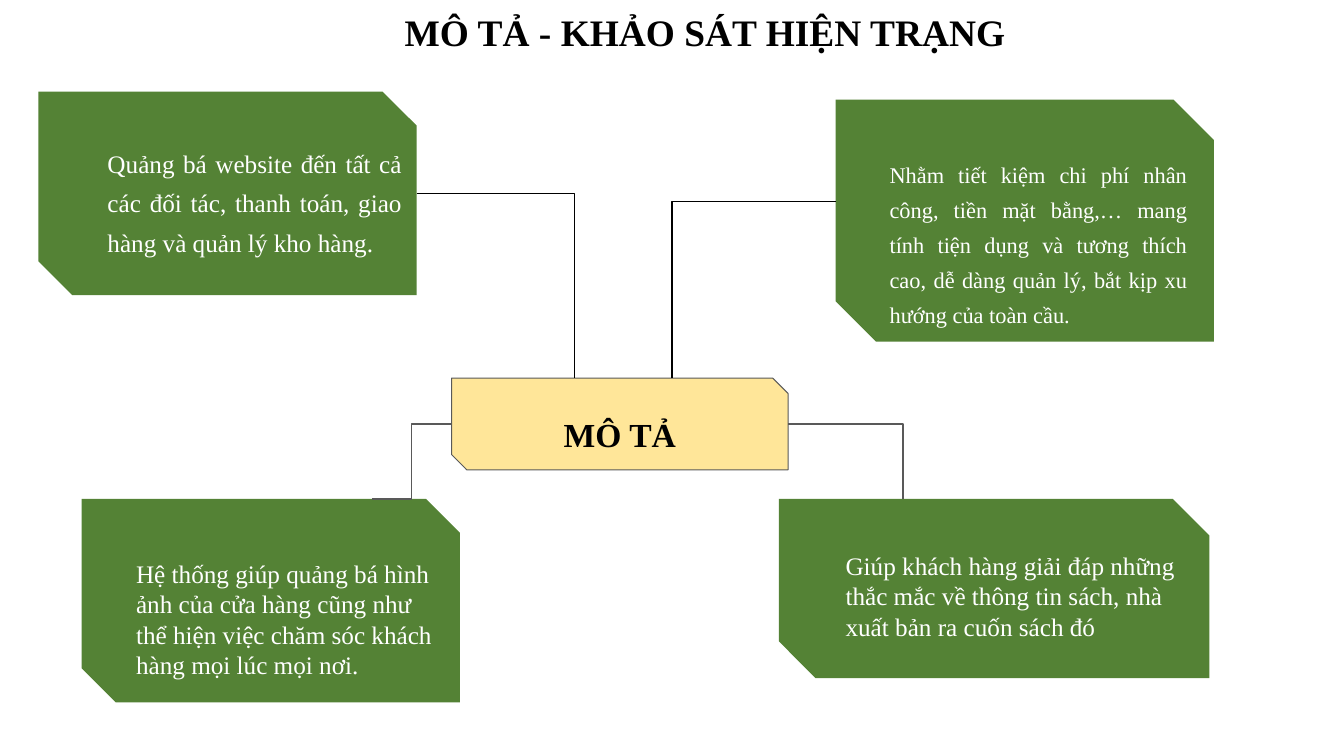
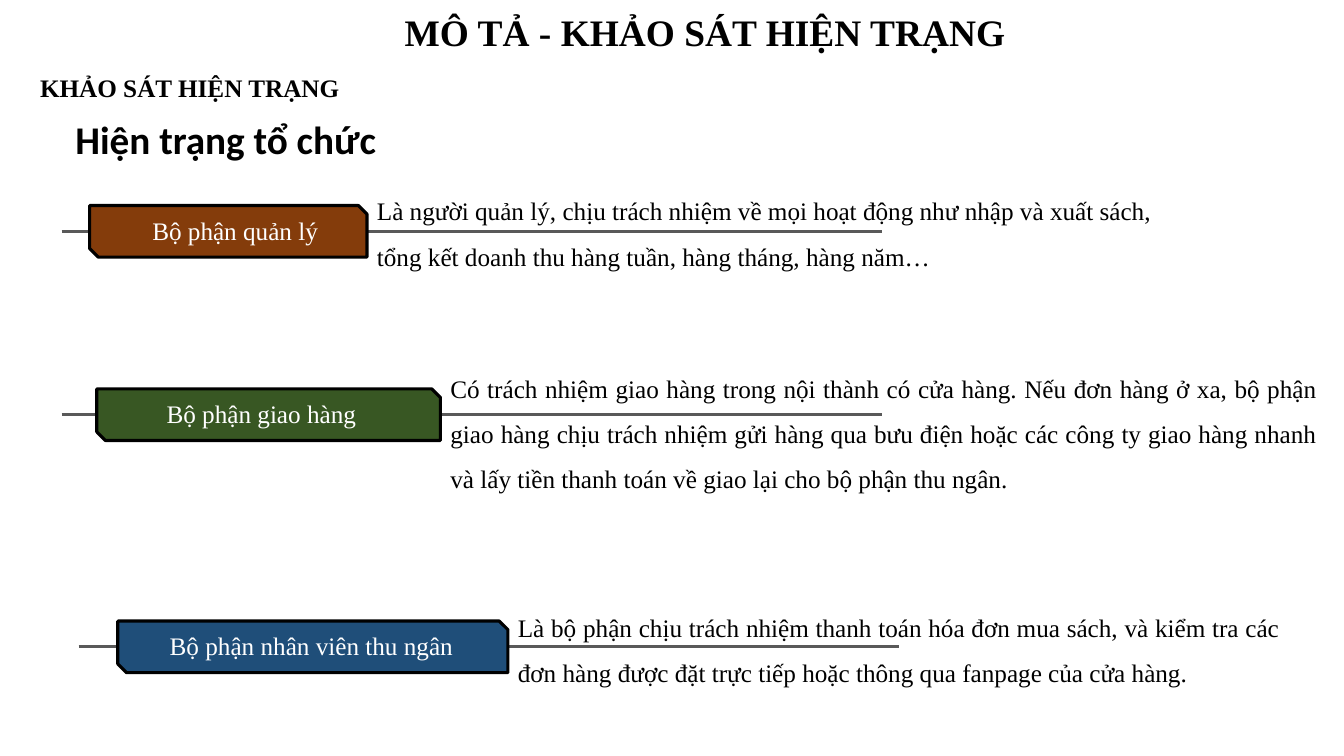
import pptx
import pptx.dml.color
import pptx.enum.shapes
import pptx.enum.text
import pptx.oxml
import pptx.oxml.ns
import pptx.util

Cm = pptx.util.Cm
Pt = pptx.util.Pt
ALIGN = pptx.enum.text.PP_ALIGN
ANCHOR = pptx.enum.text.MSO_ANCHOR
CONNECTOR = pptx.enum.shapes.MSO_CONNECTOR

SERIF = "Times New Roman"
BLACK, WHITE, GRAY = "000000", "FFFFFF", "595959"
GREEN, CREAM = "548235", "FFE699"
DECK_TITLE = "MÔ TẢ - KHẢO SÁT HIỆN TRẠNG"
TITLE_ONLY = 5


def rgb(color):
    return pptx.dml.color.RGBColor.from_string(color)


def write(holder, text, size=18, color=BLACK, bold=False, font=SERIF,
          align=ALIGN.LEFT, anchor=ANCHOR.TOP, spacing=1.0,
          insets=(0.25, 0.13, 0.25, 0.13)):
    """Fill a shape with one paragraph; insets are left, top, right, bottom in cm."""
    frame = holder.text_frame
    frame.text = text
    frame.word_wrap = True
    frame.auto_size = pptx.enum.text.MSO_AUTO_SIZE.NONE
    frame.vertical_anchor = anchor
    (frame.margin_left, frame.margin_top,
     frame.margin_right, frame.margin_bottom) = map(Cm, insets)
    paragraph = frame.paragraphs[0]
    paragraph.alignment = align
    paragraph.line_spacing = spacing
    for run in paragraph.runs:
        run.font.name = font
        run.font.size = Pt(size)
        run.font.bold = bold
        run.font.color.rgb = rgb(color)


def add_text(slide, left, top, width, height, text, **style):
    write(slide.shapes.add_textbox(Cm(left), Cm(top), Cm(width), Cm(height)), text, **style)


def add_snipped(slide, left, top, width, height, fill, line=None, weight=0.75, snip=0.167):
    """Rectangle with its top right and bottom left corners cut."""
    panel = slide.shapes.add_shape(
        pptx.enum.shapes.MSO_SHAPE.SNIP_2_DIAG_RECTANGLE,
        Cm(left), Cm(top), Cm(width), Cm(height))
    panel.adjustments[0] = 0
    panel.adjustments[1] = snip
    panel.shadow.inherit = False
    panel.fill.solid()
    panel.fill.fore_color.rgb = rgb(fill)
    if line:
        panel.line.color.rgb = rgb(line)
        panel.line.width = Pt(weight)
    else:
        panel.line.fill.background()
    return panel


def add_line(slide, start, end, color, weight, bend=None):
    """Straight line, or an elbow that turns at the fraction bend of its width."""
    kind = CONNECTOR.STRAIGHT if bend is None else CONNECTOR.ELBOW
    line = slide.shapes.add_connector(kind, *map(Cm, start + end))
    line.line.color.rgb = rgb(color)
    line.line.width = Pt(weight)
    properties = line._element.spPr
    properties.append(pptx.oxml.parse_xml(
        "<a:effectLst %s/>" % pptx.oxml.ns.nsdecls("a")))
    if bend is not None:
        guides = properties.find(".//" + pptx.oxml.ns.qn("a:avLst"))
        guides.append(pptx.oxml.parse_xml(
            '<a:gd %s name="adj1" fmla="val %d"/>'
            % (pptx.oxml.ns.nsdecls("a"), bend * 100000)))


def titled_slide(deck):
    slide = deck.slides.add_slide(deck.slide_layouts[TITLE_ONLY])
    title = slide.shapes.title
    title.left, title.top, title.width, title.height = map(Cm, (4.29, 0.33, 26.97, 1.37))
    write(title, DECK_TITLE, size=26.7, bold=True, align=ALIGN.CENTER,
          anchor=ANCHOR.BOTTOM, insets=(0.33,) * 4)
    return slide


def benefit_card(slide, box, text, indent, drop, text_width, snip=0.167, **style):
    left, top, width, height = box
    add_snipped(slide, left, top, width, height, GREEN, snip=snip)
    add_text(slide, left + indent, top + drop, text_width, height - drop,
             text, color=WHITE, **style)


def description_slide(deck):
    slide = titled_slide(deck)
    justified = {"align": ALIGN.JUSTIFY, "spacing": 1.3}
    benefit_card(slide, (0.97, 2.31, 9.53, 5.13),
                 "Quảng bá website đến tất cả các đối tác, thanh toán, giao hàng "
                 "và quản lý kho hàng.", 1.49, 1.07, 7.92, **justified)
    benefit_card(slide, (21.06, 2.51, 9.53, 6.1),
                 "Nhằm tiết kiệm chi phí nhân công, tiền mặt bằng,… mang tính tiện "
                 "dụng và tương thích cao, dễ dàng quản lý, bắt kịp xu hướng của "
                 "toàn cầu.", 1.11, 1.22, 8, size=16, **justified)
    benefit_card(slide, (2.06, 12.57, 9.53, 5.13),
                 "Hệ thống giúp quảng bá hình ảnh của cửa hàng cũng như thể hiện "
                 "việc chăm sóc khách hàng mọi lúc mọi nơi.", 1.12, 1.37, 8.31)
    benefit_card(slide, (19.63, 12.57, 10.85, 4.52),
                 "Giúp khách hàng giải đáp những thắc mắc về thông tin sách, nhà "
                 "xuất bản ra cuốn sách đó", 1.43, 1.17, 9.42, snip=0.205)

    left, top, width, height = 11.38, 9.53, 8.48, 2.31
    hub = add_snipped(slide, left, top, width, height, CREAM, line=GRAY)
    write(hub, "MÔ TẢ", size=24, bold=True, align=ALIGN.CENTER,
          anchor=ANCHOR.MIDDLE, insets=(0.25, 0.5, 0.25, 0))
    middle = top + height / 2
    for start, end, color, bend in (
            ((10.5, 4.88), (14.48, top), BLACK, 1),
            ((21.06, 5.08), (16.94, top), BLACK, 1),
            ((left, middle), (9.37, 12.57), GRAY, 0.5),
            ((left + width, middle), (22.76, 12.57), GRAY, 1)):
        add_line(slide, start, end, color, 1, bend)


def department_row(slide, left, top, width, fill, name, indent, line_left,
                   duty, duty_top, duty_width, duty_height, align=ALIGN.JUSTIFY):
    """Name tag on a rule, with the department's duty to its right."""
    height = 1.3
    middle = top + height / 2
    add_line(slide, (line_left, middle), (line_left + 20.68, middle), GRAY, 2.25)
    tag = add_snipped(slide, left, top, width, height, fill, line=BLACK, weight=2.25)
    write(tag, name, color=WHITE, anchor=ANCHOR.MIDDLE, insets=(indent, 0, 0, 0.05))
    add_text(slide, left + width, duty_top, duty_width, duty_height, duty,
             align=align, spacing=1.5)


def survey_slide(deck):
    slide = titled_slide(deck)
    add_text(slide, 0.76, 1.7, 16.94, 1.02, "KHẢO SÁT HIỆN TRẠNG", bold=True)
    add_text(slide, 1.65, 2.79, 9.1, 2, "Hiện trạng tổ chức", size=28, bold=True,
             font="Calibri", spacing=0.9, insets=(0.25,) * 4)
    department_row(slide, 2.26, 5.18, 6.99, "843C0B", "Bộ phận quản lý", 1.47, 1.55,
                   "Là người quản lý, chịu trách nhiệm về mọi hoạt động như nhập và "
                   "xuất sách, tổng kết doanh thu hàng tuần, hàng tháng, hàng năm…",
                   4.42, 21.26, 2.44, align=ALIGN.LEFT)
    department_row(slide, 2.44, 9.8, 8.66, "385723", "Bộ phận giao hàng", 1.65, 1.55,
                   "Có trách nhiệm giao hàng trong nội thành có cửa hàng. Nếu đơn hàng "
                   "ở xa, bộ phận giao hàng chịu trách nhiệm gửi hàng qua bưu điện hoặc "
                   "các công ty giao hàng nhanh và lấy tiền thanh toán về giao lại cho "
                   "bộ phận thu ngân.", 8.89, 22.35, 3.58)
    department_row(slide, 2.97, 15.65, 9.83, "1F4E79", "Bộ phận nhân viên thu ngân",
                   1.2, 1.98,
                   "Là bộ phận chịu trách nhiệm thanh toán hóa đơn mua sách, và kiểm tra "
                   "các đơn hàng được đặt trực tiếp hoặc thông qua fanpage của cửa hàng.",
                   14.91, 19.71, 2.44)


def main():
    deck = pptx.Presentation()
    deck.slide_width, deck.slide_height = Cm(33.87), Cm(19.05)
    description_slide(deck)
    survey_slide(deck)
    deck.save("out.pptx")


if __name__ == "__main__":
    main()
